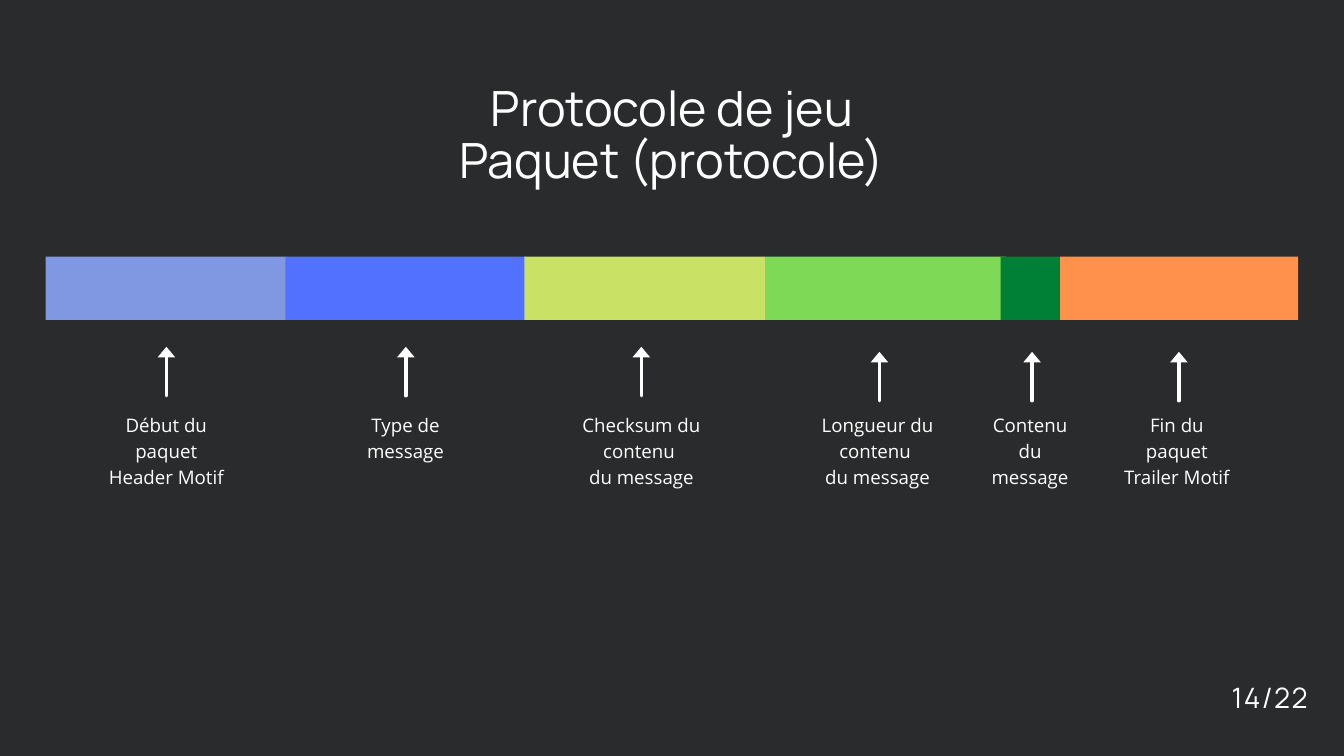
from collections import namedtuple

from lxml.etree import SubElement
from pptx import Presentation
from pptx.dml.color import RGBColor
from pptx.enum.shapes import MSO_CONNECTOR, MSO_SHAPE
from pptx.enum.text import MSO_AUTO_SIZE, PP_ALIGN
from pptx.oxml.ns import qn
from pptx.util import Cm, Pt

COLORS = {
    "background": "2A2B2C",
    "white": "FFFFFF",
    "header": "7F98E1",
    "type": "5271FF",
    "checksum": "C9E265",
    "length": "7ED957",
    "content": "008037",
    "trailer": "FF914D",
}
TITLE = {"name": "Manrope", "size": Pt(52)}
LABEL = {"name": "Open Sans", "size": Pt(20)}
PAGE = {"name": "Manrope", "size": Pt(30.1)}

BAR_TOP, BAR_HEIGHT = 9.7, 2.39
ARROW_LENGTH = 1.85
HIGH_ARROW, LOW_ARROW = 13.11, 13.3
LABEL_TOP, LABEL_LINE = 15.49, 0.98

Bar = namedtuple("Bar", "left width")
Arrow = namedtuple("Arrow", "center top")
Label = namedtuple("Label", "left width lines")


def color(name):
    return RGBColor.from_string(COLORS[name])


def add_text(left, top, width, height, lines, spacings, font_format, alignment):
    box = slide.shapes.add_textbox(Cm(left), Cm(top), Cm(width), Cm(height))
    frame = box.text_frame
    frame_format = {
        "margin_left": 0, "margin_top": 0, "margin_right": 0, "margin_bottom": 0,
        "word_wrap": True, "auto_size": MSO_AUTO_SIZE.SHAPE_TO_FIT_TEXT,
    }
    for attribute, value in frame_format.items():
        setattr(frame, attribute, value)
    frame.text = "\n".join(lines)
    for paragraph, spacing in zip(frame.paragraphs, spacings):
        paragraph.alignment = alignment
        paragraph.line_spacing = Pt(spacing)
        for run in paragraph.runs:
            for attribute, value in font_format.items():
                setattr(run.font, attribute, value)
            run.font.color.rgb = color("white")
    return frame


presentation = Presentation()
presentation.slide_width = Cm(50.8)
presentation.slide_height = Cm(28.58)
slide = presentation.slides.add_slide(presentation.slide_layouts[6])
slide.background.fill.solid()
slide.background.fill.fore_color.rgb = color("background")

add_text(13.59, 2.59, 23.62, 4.47, ["Protocole de jeu", "Paquet (protocole)"],
         [72.8, 56], TITLE, PP_ALIGN.CENTER)

bars = {
    "header": Bar(left=1.73, width=9.1),
    "type": Bar(left=10.79, width=9.1),
    "checksum": Bar(left=19.82, width=9.1),
    "length": Bar(left=28.92, width=9.1),
    "content": Bar(left=37.82, width=2.24),
    "trailer": Bar(left=40.07, width=9),
}
for name, bar in bars.items():
    shape = slide.shapes.add_shape(
        MSO_SHAPE.RECTANGLE, Cm(bar.left), Cm(BAR_TOP), Cm(bar.width), Cm(BAR_HEIGHT))
    shape.shadow.inherit = False
    shape.fill.solid()
    shape.fill.fore_color.rgb = color(name)
    shape.line.fill.background()

arrows = [
    Arrow(center=6.29, top=HIGH_ARROW),
    Arrow(center=15.34, top=HIGH_ARROW),
    Arrow(center=24.24, top=HIGH_ARROW),
    Arrow(center=33.24, top=LOW_ARROW),
    Arrow(center=39.01, top=LOW_ARROW),
    Arrow(center=44.56, top=LOW_ARROW),
]
for arrow in arrows:
    connector = slide.shapes.add_connector(
        MSO_CONNECTOR.STRAIGHT, Cm(arrow.center), Cm(arrow.top + ARROW_LENGTH),
        Cm(arrow.center), Cm(arrow.top))
    connector.line.color.rgb = color("white")
    connector.line.width = Pt(3.75)
    outline = connector.line._get_or_add_ln()
    outline.set("cap", "rnd")
    SubElement(outline, qn("a:tailEnd"), type="triangle", w="lg", len="med")
    SubElement(connector._element.spPr, qn("a:effectLst"))

labels = [
    Label(left=3.58, width=5.41, lines=["Début du paquet", "Header Motif"]),
    Label(left=12.6, width=5.46, lines=["Type de message"]),
    Label(left=20.6, width=7.29, lines=["Checksum du contenu ", "du message"]),
    Label(left=29.67, width=7, lines=["Longueur du contenu ", "du message"]),
    Label(left=37.03, width=3.81, lines=["Contenu", "du message"]),
    Label(left=42.29, width=4.39, lines=["Fin du paquet", "Trailer Motif"]),
]
for label in labels:
    line_count = len(label.lines)
    add_text(label.left, LABEL_TOP, label.width, LABEL_LINE * line_count, label.lines,
             [28] * line_count, LABEL, PP_ALIGN.CENTER)

page_number = add_text(37.92, 25.6, 11.51, 1.37, ["14/22"], [39.1], PAGE, PP_ALIGN.RIGHT)
page_number.paragraphs[0].runs[0]._r.get_or_add_rPr().set("spc", "150")

presentation.save("out.pptx")
